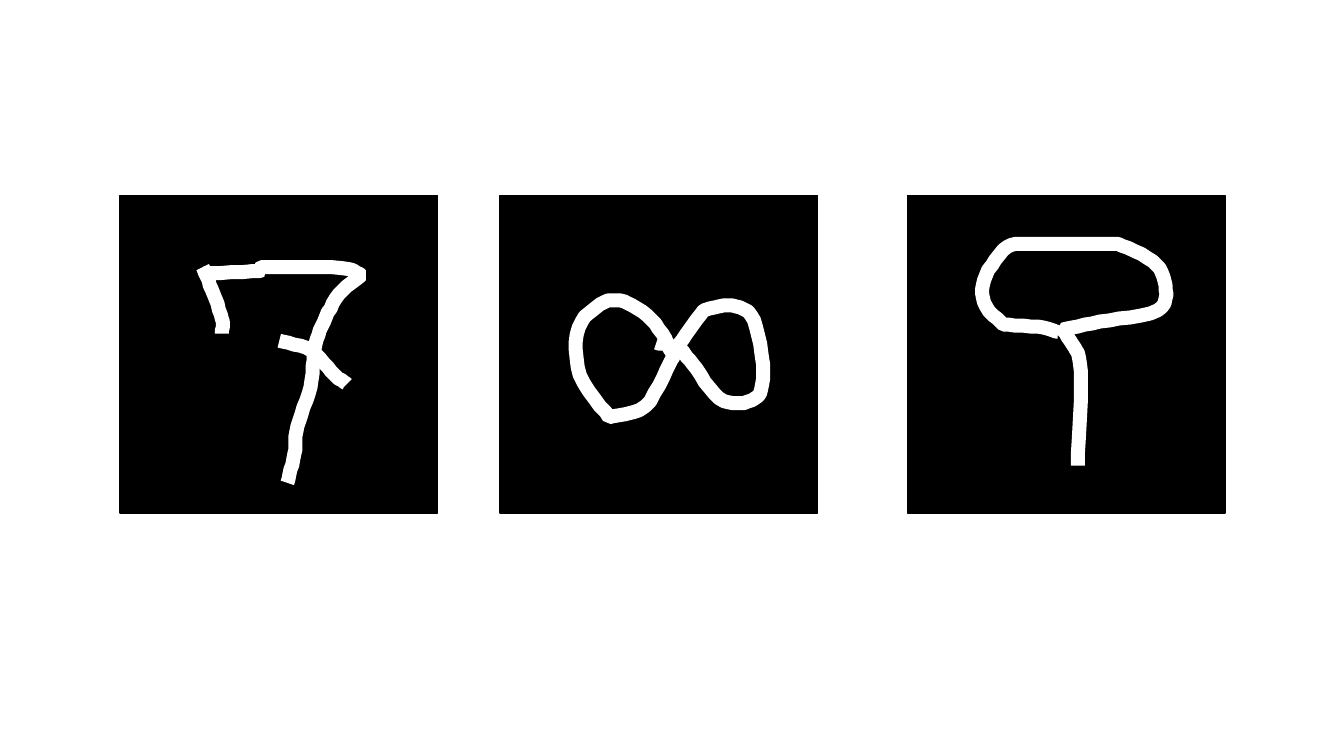
from dataclasses import dataclass

from lxml.etree import SubElement
from pptx import Presentation
from pptx.dml.color import RGBColor
from pptx.enum.shapes import MSO_SHAPE
from pptx.oxml.ns import qn
from pptx.util import Inches, Pt


@dataclass(frozen=True)
class Theme:
    """Colours and line widths of the slide."""
    ink: RGBColor = RGBColor(0, 0, 0)
    chalk: RGBColor = RGBColor(255, 255, 255)
    edge: Pt = Pt(1)
    pen: Pt = Pt(10)


LOOK = Theme()
SIZE = {"slide_width": Inches(13.33), "slide_height": Inches(7.5)}
WIDE, HIGH = SIZE.values()
SIDE, TOP = HIGH * 0.42, HIGH * 0.2587
CELLS = 315
STEPS = 6

HOOK = {"side": [(82, 71), (91, 93), (101, 122), (101, 137)]}
BODY = {
    "bar": [(83, 77), (138, 75), (144, 71), (220, 72), (239, 79)],
    "stem": [(239, 79), (217, 98), (202, 126), (193, 152), (189, 190),
             (176, 229), (173, 256), (166, 285)],
}
DASH = {"bar": [(158, 144), (190, 154), (212, 177), (225, 187)]}
LOOPS = {
    "left": [(170, 155), (154, 127), (127, 107), (103, 106), (78, 131),
             (79, 178), (108, 220)],
    "rise": [(108, 220), (144, 209), (168, 167), (177, 148), (202, 114)],
    "right": [(202, 114), (226, 109), (249, 119), (260, 162), (258, 196),
              (242, 206)],
    "back": [(242, 206), (217, 201), (191, 167), (178, 151)],
    "tail": [(178, 151), (155, 146)],
}
STALK = {
    "lip": [(150, 136), (135, 131), (95, 128)],
    "left": [(95, 128), (76, 106), (78, 79), (99, 51), (120, 48)],
    "top": [(120, 48), (209, 48)],
    "right": [(209, 48), (243, 65), (256, 89), (248, 114), (191, 125),
              (154, 133)],
    "stem": [(154, 133), (164, 148), (172, 174), (169, 268)],
}

PANELS = {
    "seven": (0.0893, [HOOK, BODY, DASH]),
    "eight": (0.3721, [LOOPS]),
    "nine": (0.6752, [STALK]),
}


def blend(a, b, c, d, t):
    """Return the Catmull-Rom value at share t of the way from b to c."""
    bend = 2 * a - 5 * b + 4 * c - d
    twist = 3 * (b - c) + d - a
    return b + t * (c - a + t * (bend + t * twist)) / 2


def curve(knots):
    """Yield the dots of a smooth curve through all the knots."""
    ends = [knots[0], *knots, knots[-1]]
    yield knots[0]
    for span in zip(ends, ends[1:], ends[2:], ends[3:]):
        for step in range(1, STEPS + 1):
            yield tuple(blend(*axis, step / STEPS) for axis in zip(*span))


def style(shape, tint, width):
    """Set the line of a shape and take off its shadow."""
    shape.shadow.inherit = False
    shape.line.color.rgb = tint
    shape.line.width = width


def stroke(shapes, parts, left, top, side):
    """Draw smooth parts, which meet in corners, as one open pen stroke."""
    dots = [dot for knots in parts.values() for dot in curve(knots)]
    pen = shapes.build_freeform(*dots[0], scale=side / CELLS)
    pen.add_line_segments(dots[1:], close=False)
    mark = pen.convert_to_shape(int(left), int(top))
    style(mark, LOOK.chalk, LOOK.pen)
    mark.fill.background()
    SubElement(mark.element.spPr.find(qn("a:ln")), qn("a:bevel"))


def panel(shapes, digit, left, top, side):
    """Draw a dark square with a handwritten digit on it."""
    box = [int(part) for part in (left, top, side, side)]
    tile = shapes.add_shape(MSO_SHAPE.RECTANGLE, *box)
    style(tile, LOOK.ink, LOOK.edge)
    tile.fill.solid()
    tile.fill.fore_color.rgb = LOOK.ink
    for parts in digit:
        stroke(shapes, parts, left, top, side)


def main():
    """Build the slide with three digits and save it."""
    deck = Presentation()
    for name, size in SIZE.items():
        setattr(deck, name, size)
    slide = deck.slides.add_slide(deck.slide_layouts[6])
    for share, digit in PANELS.values():
        panel(slide.shapes, digit, WIDE * share, TOP, SIDE)
    deck.save("out.pptx")


if __name__ == "__main__":
    main()
